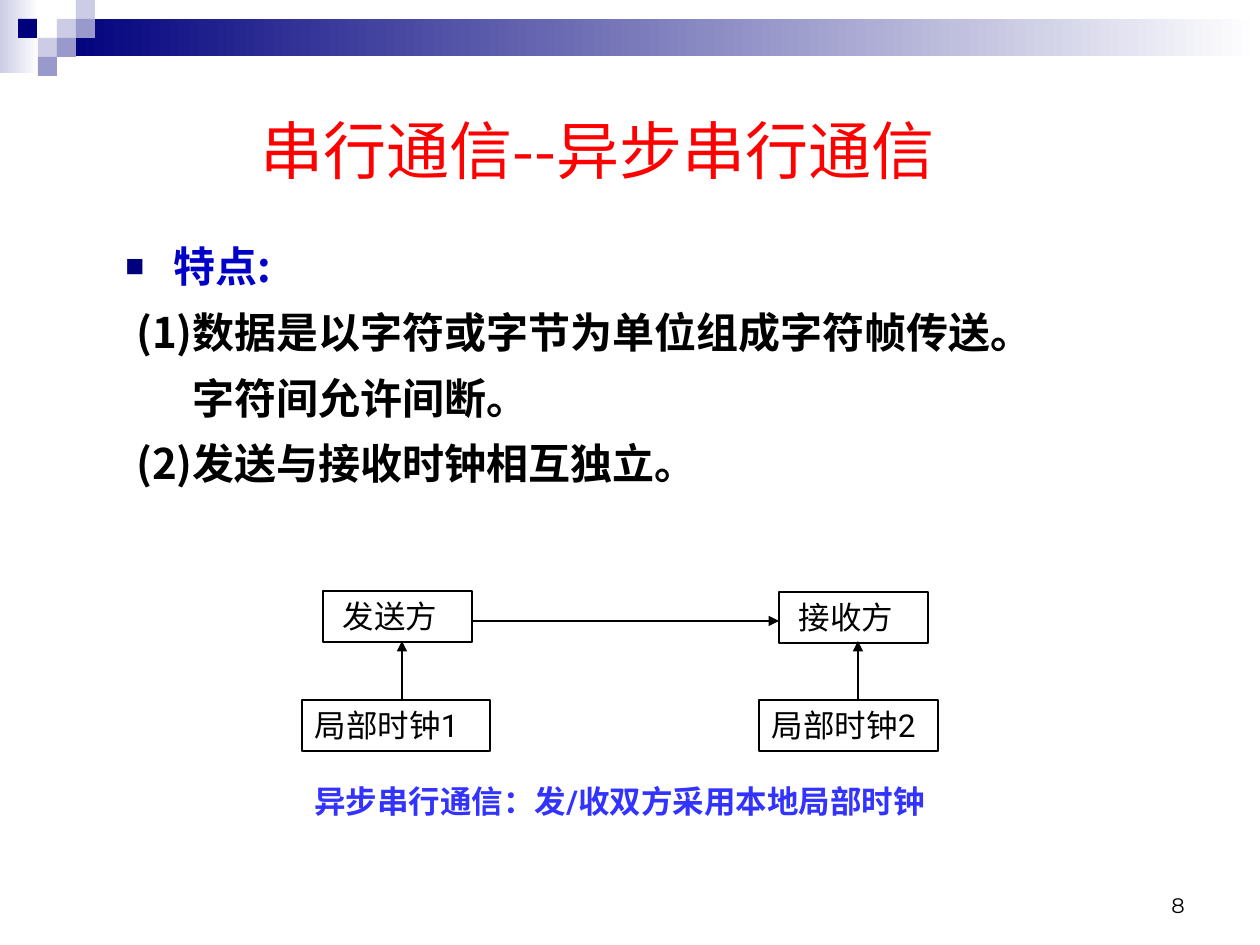
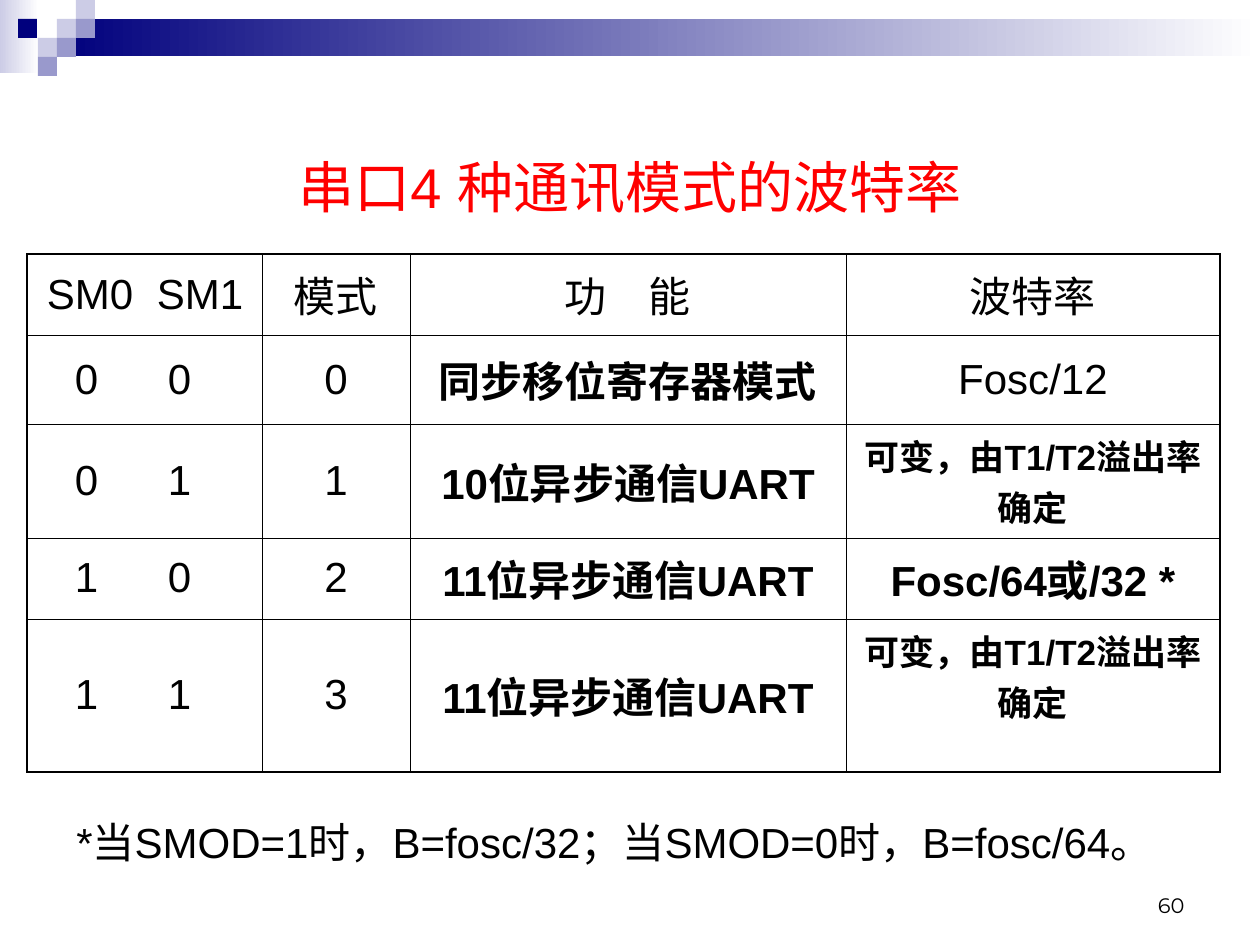
import pptx
import pptx.dml.color
import pptx.enum.dml
import pptx.enum.shapes
import pptx.enum.text
import pptx.oxml
import pptx.oxml.ns
import pptx.util
import lxml.etree

PX = 7257  # EMU per pixel, 126 pixels to the inch
CJK = "Noto Sans CJK SC"
NAVY, LAVENDER, LILAC = "00007D", "9999CC", "CCCCE6"
RED, BLUE, BRIGHT_BLUE, BLACK, WHITE = "FF0000", "0000C8", "3333FF", "000000", "FFFFFF"
LEFT = pptx.enum.text.PP_ALIGN.LEFT
CENTER = pptx.enum.text.PP_ALIGN.CENTER
RIGHT = pptx.enum.text.PP_ALIGN.RIGHT
TOP = pptx.enum.text.MSO_ANCHOR.TOP
MIDDLE = pptx.enum.text.MSO_ANCHOR.MIDDLE
BOTTOM = pptx.enum.text.MSO_ANCHOR.BOTTOM
RECTANGLE = pptx.enum.shapes.MSO_SHAPE.RECTANGLE
STRAIGHT = pptx.enum.shapes.MSO_CONNECTOR.STRAIGHT
qn = pptx.oxml.ns.qn


def rgb(colour):
    return pptx.dml.color.RGBColor.from_string(colour)


def write(paragraph, text, name, size, colour=BLACK, bold=False, alignment=LEFT):
    paragraph.alignment = alignment
    run = paragraph.add_run()
    run.text = text
    font_format = {"name": name, "size": pptx.util.Pt(size), "bold": bold}
    for attribute, value in font_format.items():
        setattr(run.font, attribute, value)
    run.font.color.rgb = rgb(colour)
    lxml.etree.SubElement(run._r.get_or_add_rPr(), qn("a:ea"), typeface=CJK)


presentation = pptx.Presentation()
presentation.slide_width = 1260 * PX
presentation.slide_height = 945 * PX
blank_layout = presentation.slide_layouts[6]
features_slide = presentation.slides.add_slide(blank_layout)
baud_slide = presentation.slides.add_slide(blank_layout)

# Header band and mosaic on every slide: left, top, width, height, colours
header_parts = [
    (0, 0, 39, 73, [LILAC, WHITE]),
    (57, 19, 1203, 37, [NAVY, WHITE]),
]
tiles = [(57, 19, LILAC), (76, 0, LILAC), (76, 19, LAVENDER), (38, 38, LILAC),
         (18, 19, NAVY), (57, 38, LAVENDER), (38, 57, LAVENDER)]
header_parts += [(left, top, 19, 19, [colour]) for left, top, colour in tiles]

for slide in presentation.slides:
    slide.background.fill.solid()
    slide.background.fill.fore_color.rgb = rgb(WHITE)
    for left, top, width, height, colours in header_parts:
        shape = slide.shapes.add_shape(
            RECTANGLE, left * PX, top * PX, width * PX, height * PX)
        shape.shadow.inherit = False
        shape.line.fill.background()
        if len(colours) == 1:
            shape.fill.solid()
            shape.fill.fore_color.rgb = rgb(colours[0])
        else:
            shape.fill.gradient()
            shape.fill.gradient_angle = 0
            for stop, colour in zip(shape.fill.gradient_stops, colours):
                stop.color.rgb = rgb(colour)

# Titles, captions and page numbers
page_number_box = (903, 861, 294, 63)
page_number_format = {"name": "Montserrat", "size": 12, "alignment": RIGHT}
text_boxes = [
    (features_slide, (169, 106, 857, 87), MIDDLE, "串行通信--异步串行通信",
     {"name": CJK, "size": 36, "colour": RED, "alignment": CENTER}),
    (features_slide, (302, 776, 675, 51), TOP, "异步串行通信：发/收双方采用本地局部时钟",
     {"name": "Roboto", "size": 18, "colour": BRIGHT_BLUE, "bold": True}),
    (features_slide, page_number_box, BOTTOM, "8", page_number_format),
    (baud_slide, (63, 120, 1134, 132), MIDDLE, "串口4 种通讯模式的波特率",
     {"name": "Arial", "size": 32, "colour": RED, "alignment": CENTER}),
    (baud_slide, (64, 810, 1128, 113), TOP,
     "*当SMOD=1时，B=fosc/32；当SMOD=0时，B=fosc/64。",
     {"name": "Arial", "size": 24}),
    (baud_slide, page_number_box, BOTTOM, "60", page_number_format),
]
for slide, box, anchor, text, text_format in text_boxes:
    text_frame = slide.shapes.add_textbox(*[length * PX for length in box]).text_frame
    text_frame.word_wrap = True
    text_frame.vertical_anchor = anchor
    write(text_frame.paragraphs[0], text, **text_format)

# Feature list: text, left margin, first-line indent, colour
features = [
    ("特点:", 48, -48, BLUE),
    ("(1)数据是以字符或字节为单位组成字符帧传送。", 11, 0, BLACK),
    ("字符间允许间断。", 67, 0, BLACK),
    ("(2)发送与接收时钟相互独立。", 11, 0, BLACK),
]
body = features_slide.shapes.add_textbox(113 * PX, 229 * PX, 1072 * PX, 323 * PX)
body.text_frame.word_wrap = True
for index, (text, margin, indent, colour) in enumerate(features):
    paragraph = (body.text_frame.add_paragraph() if index
                 else body.text_frame.paragraphs[0])
    paragraph.line_spacing = 1.1
    paragraph.space_before = pptx.util.Pt(6 if index else 0)
    properties = paragraph._p.get_or_add_pPr()
    properties.set("marL", str(margin * PX))
    properties.set("indent", str(indent * PX))
    if indent:
        bullet_colour = lxml.etree.SubElement(properties, qn("a:buClr"))
        lxml.etree.SubElement(bullet_colour, qn("a:srgbClr"), val=NAVY)
        lxml.etree.SubElement(properties, qn("a:buSzPct"), val="75000")
        lxml.etree.SubElement(properties, qn("a:buFont"), typeface="Arial")
        lxml.etree.SubElement(properties, qn("a:buChar"), char="■")
    else:
        lxml.etree.SubElement(properties, qn("a:buNone"))
    write(paragraph, text, CJK, 24, colour, bold=True)

# Sender and receiver, each with its own clock: text, box, left inset
nodes = [
    ("发送方", (323, 591, 149, 51), 20),
    ("局部时钟1", (302, 700, 188, 51), 13),
    ("接收方", (779, 592, 149, 51), 20),
    ("局部时钟2", (759, 700, 179, 51), 13),
]
for text, box, inset in nodes:
    node = features_slide.shapes.add_shape(RECTANGLE, *[length * PX for length in box])
    node.shadow.inherit = False
    node.fill.background()
    node.line.color.rgb = rgb(BLACK)
    node.line.width = pptx.util.Pt(0.75)
    node.text_frame.word_wrap = True
    node.text_frame.vertical_anchor = TOP
    node.text_frame.margin_left = inset * PX
    write(node.text_frame.paragraphs[0], text, "Roboto", 18)

# Arrows: clocks to their sides, sender to receiver
arrows = [(402, 700, 402, 641), (858, 700, 858, 641), (472, 621, 779, 621)]
for ends in arrows:
    arrow = features_slide.shapes.add_connector(STRAIGHT, *[end * PX for end in ends])
    arrow.line.color.rgb = rgb(BLACK)
    arrow.line.width = pptx.util.Pt(0.75)
    lxml.etree.SubElement(arrow.line._get_or_add_ln(), qn("a:tailEnd"), type="triangle")
    lxml.etree.SubElement(arrow._element.spPr, qn("a:effectLst"))

# Baud rate table, with rows tall enough for the two-line rates
column_widths = [235, 148, 436, 374]
row_heights = [81, 89, 114, 81, 153]
variable_rate = "可变，由T1/T2溢出率确定"
rows = [
    ["SM0	SM1", "模式", "功　能", "波特率"],
    ["0	0", "0", "同步移位寄存器模式", "Fosc/12"],
    ["0	1", "1", "10位异步通信UART", variable_rate],
    ["1	0", "2", "11位异步通信UART", "Fosc/64或/32 *"],
    ["1	1", "3", "11位异步通信UART", variable_rate],
]
table = baud_slide.shapes.add_table(
    len(rows), len(column_widths), 27 * PX, 254 * PX,
    sum(column_widths) * PX, sum(row_heights) * PX).table
table.first_row = False
table.horz_banding = False
for column, width in zip(table.columns, column_widths):
    column.width = width * PX
for row, height in zip(table.rows, row_heights):
    row.height = height * PX

last_row, last_column = len(rows) - 1, len(column_widths) - 1
for row_index, row in enumerate(rows):
    for column_index, text in enumerate(row):
        cell = table.cell(row_index, column_index)
        cell.vertical_anchor = MIDDLE
        paragraph = cell.text_frame.paragraphs[0]

        # The two mode bits stand at a left inset and a tab stop
        if column_index == 0:
            inset, tab = (48, 93) if row_index else (20, 110)
            cell.margin_left = inset * PX
            cell.margin_right = 0
            tabs = lxml.etree.SubElement(paragraph._p.get_or_add_pPr(), qn("a:tabLst"))
            lxml.etree.SubElement(tabs, qn("a:tab"), pos=str(tab * PX), algn="l")
        if (row_index, column_index) == (last_row, last_column):
            cell.margin_bottom = 45 * PX

        bold = row_index > 0 and column_index >= 2 and text != "Fosc/12"
        write(paragraph, text, CJK if row_index == 0 and column_index else "Arial",
              20 if text == variable_rate else 24, bold=bold,
              alignment=CENTER if column_index else LEFT)

        # Heavier rule around the outside
        outer_sides = {"L": column_index == 0, "R": column_index == last_column,
                       "T": row_index == 0, "B": row_index == last_row}
        cell_properties = cell._tc.get_or_add_tcPr()
        for side, outer in outer_sides.items():
            border = lxml.etree.SubElement(
                cell_properties, qn("a:ln" + side),
                w=str(int(pptx.util.Pt(1.08 if outer else 0.45))))
            border_fill = lxml.etree.SubElement(border, qn("a:solidFill"))
            lxml.etree.SubElement(border_fill, qn("a:srgbClr"), val=BLACK)
        cell.fill.background()

presentation.save("out.pptx")
